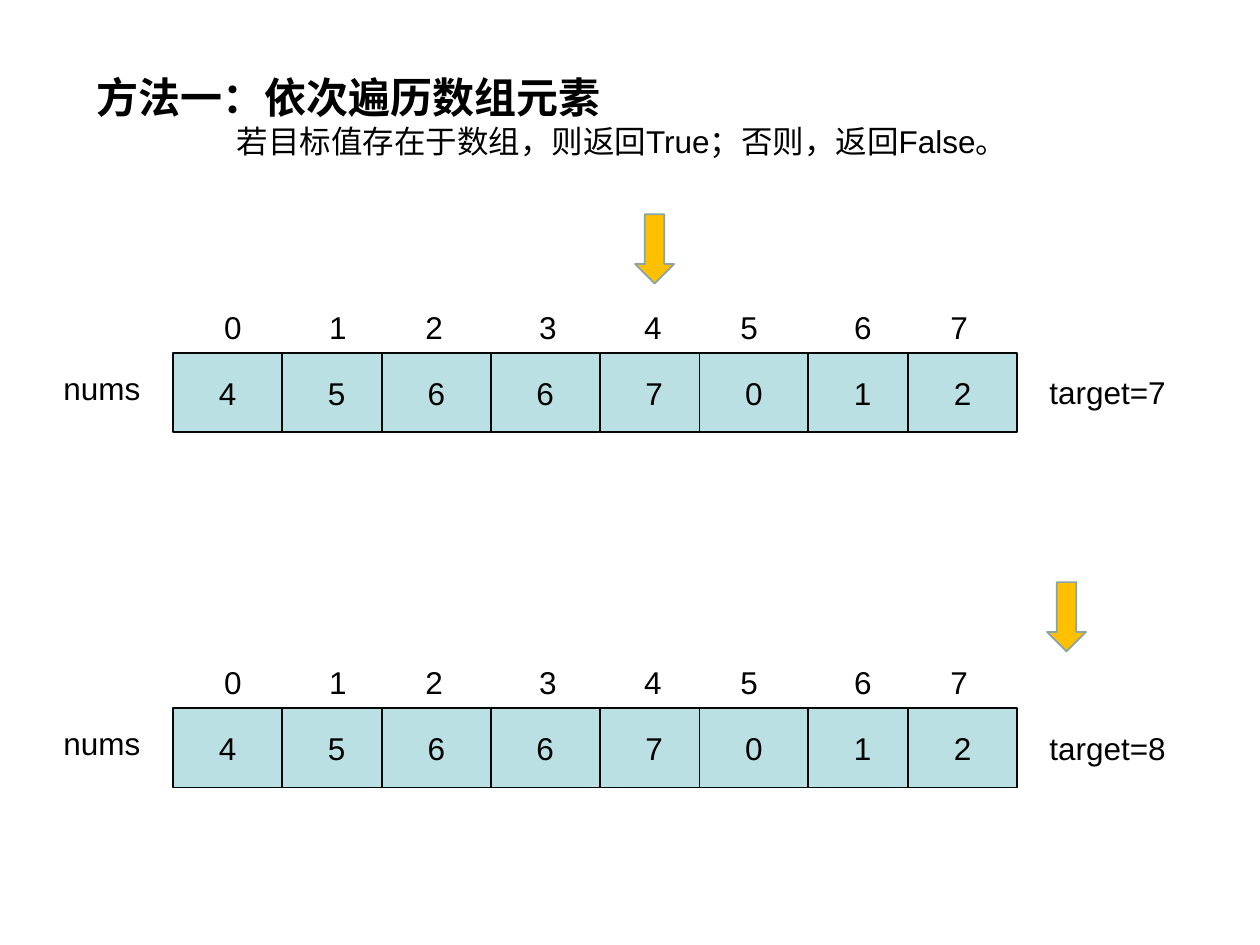
from dataclasses import dataclass

from lxml import etree
from pptx import Presentation
from pptx.dml.color import RGBColor
from pptx.enum.shapes import MSO_SHAPE
from pptx.enum.text import MSO_ANCHOR, MSO_AUTO_SIZE, PP_ALIGN
from pptx.oxml.ns import qn
from pptx.util import Emu, Inches, Pt

RECT, ARROW = MSO_SHAPE.RECTANGLE, MSO_SHAPE.DOWN_ARROW
MIDDLE, TOP = MSO_ANCHOR.MIDDLE, MSO_ANCHOR.TOP
LEFT, CENTER = PP_ALIGN.LEFT, PP_ALIGN.CENTER
GROW, FIXED = MSO_AUTO_SIZE.SHAPE_TO_FIT_TEXT, MSO_AUTO_SIZE.NONE

COLORS = {"text": "000000", "cell": "BBE0E3", "cell_line": "060708",
          "arrow": "FFC000", "arrow_line": "89A4A7"}
GRID_COLS, GRID_ROWS = 1000, 750
CELL_UNIT = 7.2
CELL_STEPS = (0, 12, 23, 35, 47, 58, 70, 81)
TAB_UNIT = Pt(5)
TAB_STEPS = (12, 23, 36, 48, 59, 72, 83)
NUMS = (4, 5, 6, 6, 7, 0, 1, 2)
BODY = {"name": "Arial", "size": Pt(18), "bold": False}
HEADING = {"name": "Arial", "size": Pt(24), "bold": True}

prs = Presentation()
prs.slide_width, prs.slide_height = Inches(10), Inches(7.5)


@dataclass
class Box:
    col: float
    row: float
    cols: float
    rows: float

    def emu(self) -> tuple[Emu, ...]:
        w, h = prs.slide_width / GRID_COLS, prs.slide_height / GRID_ROWS
        return (Emu(round(self.col * w)), Emu(round(self.row * h)),
                Emu(round(self.cols * w)), Emu(round(self.rows * h)))


@dataclass
class Search:
    row: float
    target: int
    arrow_col: float
    arrow_rise: float


SEARCHES = (Search(280, 7, 504, 110), Search(562, 8, 831, 100))


def write(p, text: str, fmt: dict, align=LEFT) -> None:
    p.alignment = align
    r = p.add_run()
    r.text = text
    for key, value in fmt.items():
        setattr(r.font, key, value)
    r.font.color.rgb = RGBColor.from_string(COLORS["text"])


def set_frame(tf, anchor, auto_size) -> None:
    frame = {"word_wrap": True, "vertical_anchor": anchor, "auto_size": auto_size}
    for key, value in frame.items():
        setattr(tf, key, value)


def add_label(shapes, box: Box, text: str):
    tf = shapes.add_textbox(*box.emu()).text_frame
    set_frame(tf, TOP, GROW)
    write(tf.paragraphs[0], text, BODY)
    return tf.paragraphs[0]


def add_block(shapes, kind, box: Box, color: str):
    sp = shapes.add_shape(kind, *box.emu())
    sp.shadow.inherit = False
    sp.fill.solid()
    sp.fill.fore_color.rgb = RGBColor.from_string(COLORS[color])
    sp.line.color.rgb = RGBColor.from_string(COLORS[f"{color}_line"])
    sp.line.width = Pt(1)
    return sp


def add_indices(shapes, box: Box) -> None:
    p = add_label(shapes, box, "\t".join(str(i) for i in range(len(NUMS))))
    tabs = etree.SubElement(p._p.get_or_add_pPr(), qn("a:tabLst"))
    for step in TAB_STEPS:
        etree.SubElement(tabs, qn("a:tab"), pos=str(step * TAB_UNIT), algn="l")


def add_array(s, row: float) -> None:
    shapes = s.shapes.add_group_shape().shapes
    for step, num in zip(CELL_STEPS, NUMS):
        box = Box(137.5 + step * CELL_UNIT, row, 12 * CELL_UNIT, 63)
        tf = add_block(shapes, RECT, box, "cell").text_frame
        set_frame(tf, MIDDLE, FIXED)
        write(tf.paragraphs[0], str(num), BODY, CENTER)
    add_label(shapes, Box(40.5, row + 8, 333, 40), "nums")
    add_indices(shapes, Box(168, row - 40.5, 639, 40))


def add_search(s, search: Search) -> None:
    target_box = Box(823, search.row + 11.5, 123, 40)
    add_label(s.shapes, target_box, f"target={search.target}")
    arrow_box = Box(search.arrow_col, search.row - search.arrow_rise, 31, 55)
    add_block(s.shapes, ARROW, arrow_box, "arrow")
    add_array(s, search.row)


def add_title(s) -> None:
    tf = s.shapes.add_textbox(*Box(67, 52, 804, 103).emu()).text_frame
    set_frame(tf, TOP, FIXED)
    write(tf.paragraphs[0], "方法一：依次遍历数组元素", HEADING)
    p = tf.add_paragraph()
    write(p, "若目标值存在于数组，则返回True；否则，返回False。", BODY)
    p._p.get_or_add_pPr().set("marL", str(Inches(1.11)))


def main() -> None:
    s = prs.slides.add_slide(prs.slide_layouts[6])
    add_title(s)
    for search in SEARCHES:
        add_search(s, search)
    prs.save("out.pptx")


if __name__ == "__main__":
    main()
